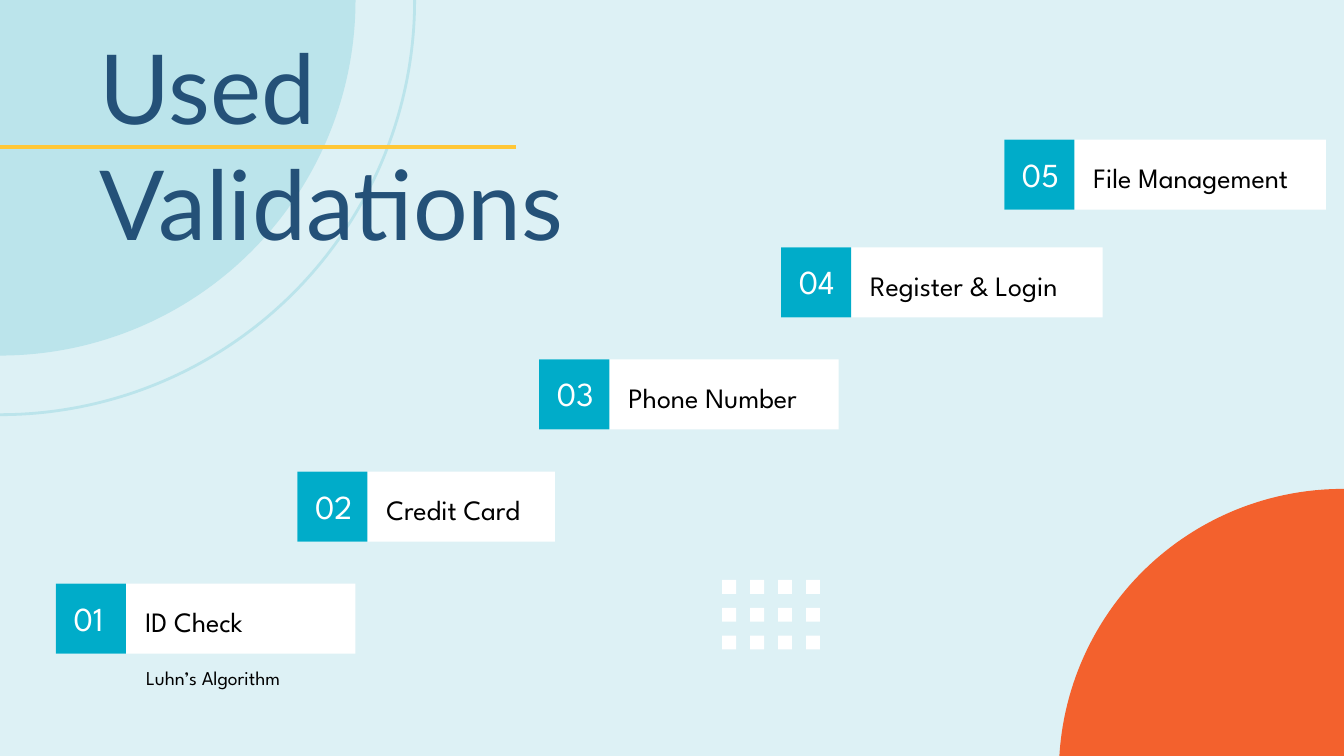
import math
from dataclasses import dataclass

import lxml.etree
import pptx
import pptx.dml.color
import pptx.enum.shapes
import pptx.enum.text
import pptx.oxml.ns
import pptx.util

Cm = pptx.util.Cm
Pt = pptx.util.Pt
Kind = pptx.enum.shapes.MSO_SHAPE


@dataclass(frozen=True)
class Theme:
    sky: str = "DDF1F5"
    aqua: str = "BBE4EB"
    teal: str = "00ACC9"
    gold: str = "FFC737"
    coral: str = "F3612D"
    navy: str = "245178"
    white: str = "FFFFFF"
    black: str = "000000"
    head: str = "Lato"
    body: str = "League Spartan"
    title: int = 138
    number: int = 48
    label: int = 40
    note: int = 28


THEME = Theme()
WIDE, HIGH = 67.74, 38.1
TILE = 3.53

# number, label, left, top, card width, label width
CARDS = [
    ("01", "ID Check", 2.82, 29.41, 15.09, 10.08),
    ("02", "Credit Card", 14.99, 23.77, 12.98, 10.08),
    ("03", "Phone Number", 27.18, 18.11, 15.09, 12.19),
    ("04", "Register & Login", 39.37, 12.47, 16.21, 12.98),
    ("05", "File Management", 50.62, 7.04, 16.21, 11.33),
]


def apply(item, values):
    for name, value in values.items():
        setattr(item, name, value)


def rgb(code):
    return pptx.dml.color.RGBColor.from_string(code)


def paint(shape, color):
    shape.shadow.inherit = False
    shape.fill.solid()
    shape.fill.fore_color.rgb = rgb(color)
    shape.line.fill.background()


def block(slide, kind, box, color):
    shape = slide.shapes.add_shape(kind, *map(Cm, box))
    paint(shape, color)
    return shape


def write(shape, text, font, size, color, space=None):
    """Fill a text shape with one left-aligned, vertically centred paragraph."""
    frame = shape.text_frame
    apply(frame, {
        "text": text,
        "word_wrap": True,
        "auto_size": pptx.enum.text.MSO_AUTO_SIZE.NONE,
        "vertical_anchor": pptx.enum.text.MSO_ANCHOR.MIDDLE,
        **{f"margin_{side}": Cm(0.1) for side in ("left", "top", "right", "bottom")},
    })
    line = frame.paragraphs[0]
    line.alignment = pptx.enum.text.PP_ALIGN.LEFT
    if space:
        line.line_spacing = Pt(space)
    run = line.runs[0].font
    apply(run, {"name": font, "size": Pt(size)})
    run.color.rgb = rgb(color)


def label(slide, box, text, size, color, space):
    shape = slide.shapes.add_textbox(*map(Cm, box))
    write(shape, text, THEME.body, size, color, space)


def sweep(slide, radius, disc):
    """Draw a quarter circle about the top left corner, as a disc or an arc."""
    turns = [math.pi / 2 * step / 90 for step in range(91)]
    points = [(Cm(radius * math.cos(a)), Cm(radius * math.sin(a))) for a in turns]
    if disc:
        points.append((0, 0))
    draft = slide.shapes.build_freeform(*points[0])
    draft.add_line_segments(points[1:], close=disc)
    shape = draft.convert_to_shape()
    paint(shape, THEME.aqua)
    if not disc:
        shape.fill.background()
        shape.line.color.rgb = rgb(THEME.aqua)
        shape.line.width = Pt(4)


def rule(slide, right, top):
    line = slide.shapes.add_connector(
        pptx.enum.shapes.MSO_CONNECTOR.STRAIGHT, Cm(right), Cm(top), 0, Cm(top))
    line.line.color.rgb = rgb(THEME.gold)
    line.line.width = Pt(5)
    lxml.etree.SubElement(line._element.spPr, pptx.oxml.ns.qn("a:effectLst"))


def head(slide, text):
    title = slide.shapes.title
    apply(title, {"left": Cm(4.93), "top": Cm(0.76),
                  "width": Cm(26.57), "height": Cm(12.95)})
    write(title, text, THEME.head, THEME.title, THEME.navy)
    slide.shapes._spTree.append(title._element)  # in front of the circles


def card(slide, number, text, left, top, width, span):
    block(slide, Kind.RECTANGLE, (left, top, width, TILE), THEME.white)
    block(slide, Kind.RECTANGLE, (left, top, TILE, TILE), THEME.teal)
    line = top + 0.46
    label(slide, (left + 0.79, line, 2.29, 2.54), number,
          THEME.number, THEME.white, 57)
    label(slide, (left + 4.39, line, span, 2.54), text,
          THEME.label, THEME.black, 57)


def dots(slide, left, top, cols, rows):
    for row in range(rows):
        for col in range(cols):
            box = (left + 1.41 * col, top + 1.4 * row, 0.7, 0.7)
            block(slide, Kind.RECTANGLE, box, THEME.white)


def main():
    deck = pptx.Presentation()
    apply(deck, {"slide_width": Cm(WIDE), "slide_height": Cm(HIGH)})
    slide = deck.slides.add_slide(deck.slide_layouts[5])
    back = slide.background.fill
    back.solid()
    back.fore_color.rgb = rgb(THEME.sky)

    sweep(slide, 20.9, disc=False)
    sweep(slide, 17.92, disc=True)
    rule(slide, 26.01, 7.42)
    head(slide, "Used Validations")
    for item in CARDS:
        card(slide, *item)
    label(slide, (7.26, 33.45, 8.51, 1.65), "Luhn’s Algorithm",
          THEME.note, THEME.black, 28)
    block(slide, Kind.OVAL, (53.37, 24.64, 28.63, 28.63), THEME.coral)
    dots(slide, 36.4, 29.23, cols=4, rows=3)
    deck.save("out.pptx")


if __name__ == "__main__":
    main()
